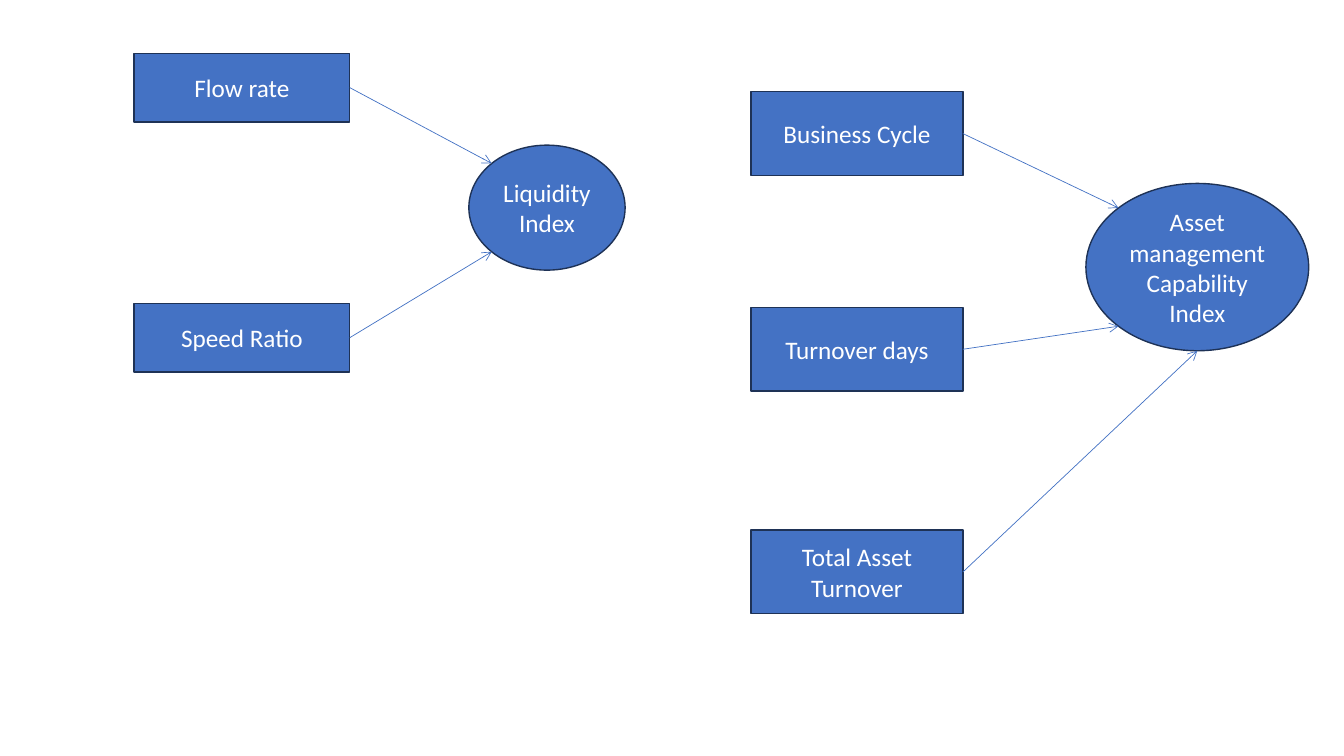
from math import cos, radians, sin

from lxml import etree
from pptx import Presentation
from pptx.dml.color import RGBColor
from pptx.enum import shapes, text
from pptx.oxml import ns
from pptx.util import Inches, Pt

BLUE, NAVY, WHITE = "4472C4", "1E3256", "FFFFFF"
GROUPS = [
    {
        "index": ("Liquidity Index", 4.65, 1.44, 1.55, 1.24),
        "left": 1.33, "size": (2.14, 0.68),
        "ratios": [("Flow rate", 0.53, 225), ("Speed Ratio", 3.01, 135)],
    },
    {
        "index": ("Asset management Capability Index", 10.77, 1.82, 2.21, 1.66),
        "left": 7.45, "size": (2.1, 0.83),
        "ratios": [("Business Cycle", 0.91, 225), ("Turnover days", 3.05, 135),
                   ("Total Asset Turnover", 5.26, 90)],
    },
]


def paint(color, code):
    color.rgb = RGBColor.from_string(code)


def add_node(slide, kind, label, *box):
    node = slide.shapes.add_shape(kind, *map(Inches, box))
    node.shadow.inherit = False
    node.fill.solid()
    paint(node.fill.fore_color, BLUE)
    paint(node.line.color, NAVY)
    node.line.width = Pt(1)
    frame = node.text_frame
    frame.word_wrap = True
    frame.vertical_anchor = text.MSO_ANCHOR.MIDDLE
    para = frame.paragraphs[0]
    para.alignment = text.PP_ALIGN.CENTER
    run = para.add_run()
    run.text = label
    run.font.name, run.font.size = "Calibri", Pt(18)
    paint(run.font.color, WHITE)


def add_arrow(slide, *ends):
    arrow = slide.shapes.add_connector(
        shapes.MSO_CONNECTOR.STRAIGHT, *map(Inches, ends))
    paint(arrow.line.color, BLUE)
    arrow.line.width = Pt(0.5)
    etree.SubElement(arrow.line._get_or_add_ln(), ns.qn("a:tailEnd"), type="arrow")
    etree.SubElement(arrow._element.spPr, ns.qn("a:effectLst"))


def rim_point(box, angle):
    left, top, width, height = box
    turn = radians(angle)
    return left + width / 2 * (1 + cos(turn)), top + height / 2 * (1 + sin(turn))


def main():
    deck = Presentation()
    deck.slide_width, deck.slide_height = Inches(13.33), Inches(7.5)
    slide = deck.slides.add_slide(deck.slide_layouts[6])
    kinds = shapes.MSO_SHAPE
    for group in GROUPS:
        title, *oval = group["index"]
        left, (width, height) = group["left"], group["size"]
        add_node(slide, kinds.FLOWCHART_CONNECTOR, title, *oval)
        for label, top, angle in group["ratios"]:
            add_node(slide, kinds.RECTANGLE, label, left, top, width, height)
            add_arrow(slide, left + width, top + height / 2, *rim_point(oval, angle))
    deck.save("out.pptx")


if __name__ == "__main__":
    main()
